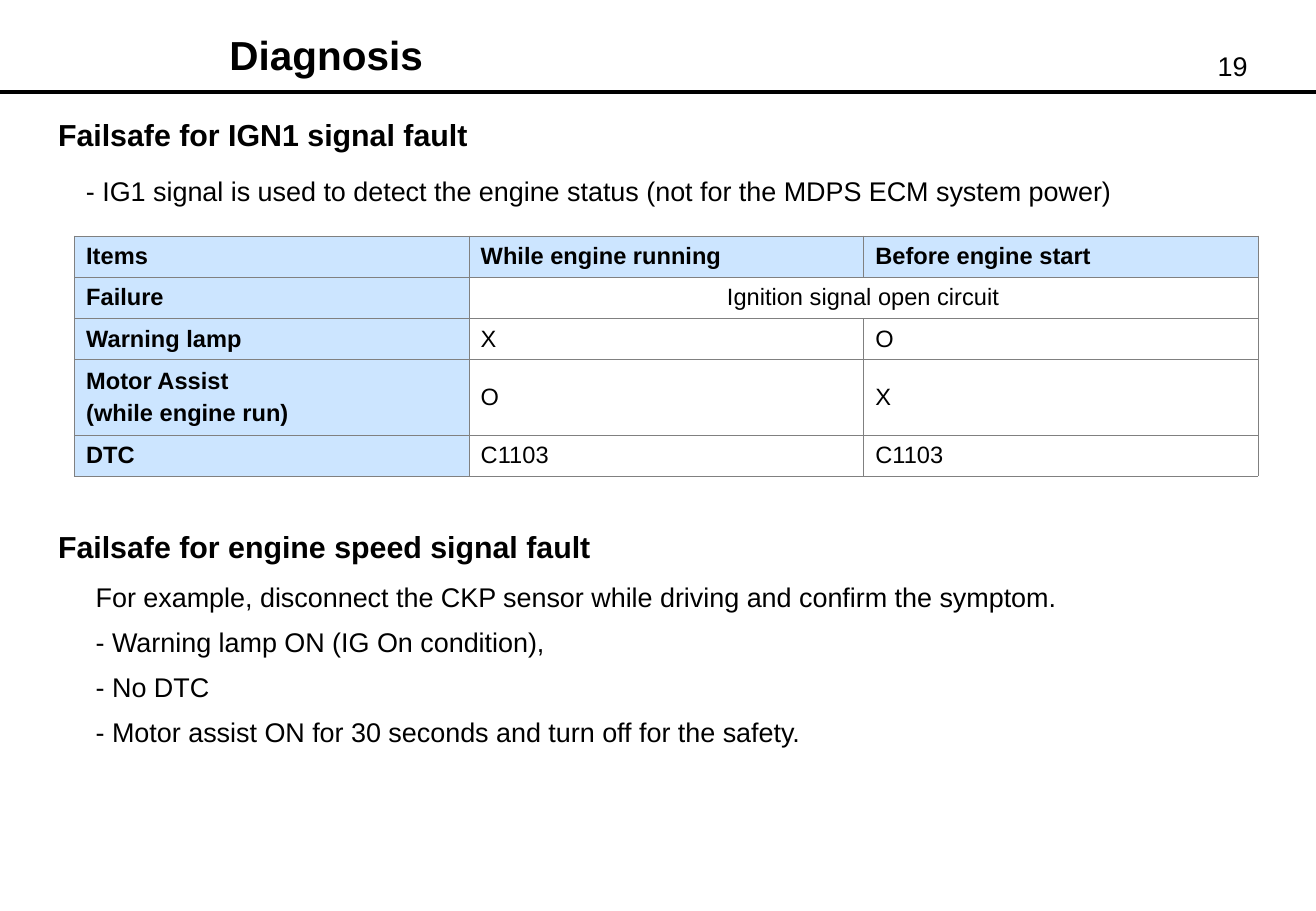
from pptx import Presentation
from pptx.dml.color import RGBColor
from pptx.enum.shapes import MSO_CONNECTOR
from pptx.enum.text import MSO_ANCHOR, PP_ALIGN
from pptx.oxml.ns import qn
from pptx.util import Inches, Pt
from lxml.etree import SubElement

FONT, BLACK, GRAY, BLUE = "Arial", "000000", "808080", "CCE5FF"

TITLE = "Diagnosis"
PAGE = "19"
# text, (left, top, width, height), size, bold
LABELS = [
    ("Failsafe for IGN1 signal fault", (0.38, 0.91, 4.49, 0.4), 18, True),
    ("- IG1 signal is used to detect the engine status (not for the MDPS ECM system power)",
     (0.61, 1.39, 9.92, 0.37), 16, False),
    ("Failsafe for engine speed signal fault", (0.38, 4.3, 5.43, 0.4), 18, True),
]
SYMPTOMS = [
    "For example, disconnect the CKP sensor while driving and confirm the symptom.",
    "- Warning lamp ON (IG On condition),",
    "- No DTC",
    "- Motor assist ON for 30 seconds and turn off for the safety.",
]
ROWS = [
    ("Items", "While engine running", "Before engine start"),
    ("Failure", "Ignition signal open circuit", None),
    ("Warning lamp", "X", "O"),
    ("Motor Assist\n(while engine run)", "O", "X"),
    ("DTC", "C1103", "C1103"),
]
ROW_H, TALL_ROW_H, COL_W = 0.34, 0.62, 3.25


def color(value):
    return RGBColor.from_string(value)


def write(tf, lines, size, bold=False, align=PP_ALIGN.LEFT, before=0, spacing=None):
    """Fill a text frame with one paragraph per line; space before skips the first."""
    for i, line in enumerate(lines):
        p = tf.paragraphs[0] if i == 0 else tf.add_paragraph()
        p.text = line
        p.alignment = align
        p.space_before = Pt(before if i else 0)
        if spacing:
            p.line_spacing = spacing
        p.font.name, p.font.size, p.font.bold = FONT, Pt(size), bold
        p.font.color.rgb = color(BLACK)


def add_text(box, lines, size, **style):
    tf = s.shapes.add_textbox(*map(Inches, box)).text_frame
    tf.word_wrap = True
    write(tf, lines, size, **style)
    return tf


def add_borders(cell):
    tc_pr = cell._tc.get_or_add_tcPr()
    for side in ("lnL", "lnR", "lnT", "lnB"):
        ln = SubElement(tc_pr, qn(f"a:{side}"), w=str(Pt(0.11)))
        fill = SubElement(ln, qn("a:solidFill"))
        SubElement(fill, qn("a:srgbClr"), val=GRAY)


prs = Presentation()
prs.slide_width, prs.slide_height = Inches(10.84), Inches(7.5)
s = prs.slides.add_slide(prs.slide_layouts[5])

title = s.shapes.title
title.left, title.top, title.width, title.height = map(Inches, (1.79, 0.2, 6.93, 0.5))
title.text_frame.vertical_anchor = MSO_ANCHOR.TOP
write(title.text_frame, [TITLE], 24, bold=True)

page = add_text((9.75, 0.36, 0.87, 0.37), [PAGE], 16)
page.margin_left = Inches(0.28)

rule = s.shapes.add_connector(MSO_CONNECTOR.STRAIGHT, 0, Inches(0.76),
                              prs.slide_width, Inches(0.76))
rule.line.color.rgb = color(BLACK)
rule.line.width = Pt(2.25)
SubElement(rule._element.spPr, qn("a:effectLst"))

for text, box, size, bold in LABELS:
    add_text(box, [text], size, bold=bold)

symptoms = add_text((0.69, 4.62, 8.51, 1.59), SYMPTOMS, 16, spacing=1.4)
symptoms.vertical_anchor = MSO_ANCHOR.MIDDLE

heights = [TALL_ROW_H if "\n" in row[0] else ROW_H for row in ROWS]
frame = s.shapes.add_table(len(ROWS), len(ROWS[0]), Inches(0.61), Inches(1.94),
                           Inches(COL_W * len(ROWS[0])), Inches(sum(heights)))
table = frame.table
table.first_row = table.horz_banding = False
for col in table.columns:
    col.width = Inches(COL_W)
for r, (row, height) in enumerate(zip(ROWS, heights)):
    table.rows[r].height = Inches(height)
    for c, text in enumerate(row):
        cell = table.cell(r, c)
        add_borders(cell)
        header = r == 0 or c == 0
        if header:
            cell.fill.solid()
            cell.fill.fore_color.rgb = color(BLUE)
        else:
            cell.fill.background()
        if text is None:
            table.cell(r, c - 1).merge(cell)
            continue
        cell.vertical_anchor = MSO_ANCHOR.MIDDLE
        spans = None in row[c + 1:c + 2]
        write(cell.text_frame, text.split("\n"), 14, bold=header, before=3.5,
              align=PP_ALIGN.CENTER if spans else PP_ALIGN.LEFT)

prs.save("out.pptx")
